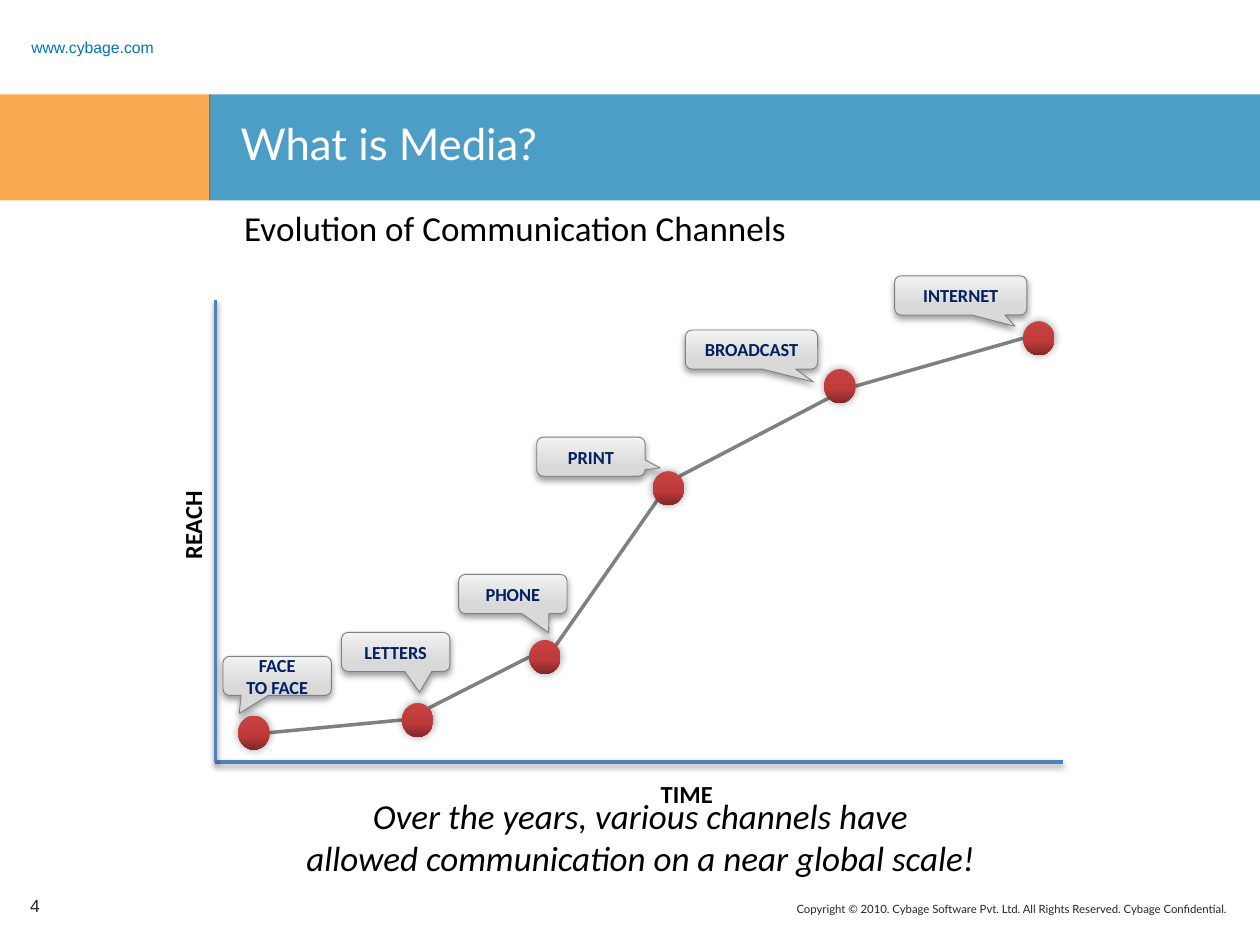
from collections import namedtuple
from dataclasses import dataclass

from lxml import etree
from pptx import Presentation
from pptx.dml.color import RGBColor
from pptx.enum.shapes import MSO_CONNECTOR, MSO_SHAPE
from pptx.enum.text import MSO_ANCHOR, PP_ALIGN
from pptx.oxml.ns import qn
from pptx.util import Inches, Pt

LEFT, CENTER, RIGHT = PP_ALIGN.LEFT, PP_ALIGN.CENTER, PP_ALIGN.RIGHT
TOP, MIDDLE = MSO_ANCHOR.TOP, MSO_ANCHOR.MIDDLE
RECT, OVAL = MSO_SHAPE.RECTANGLE, MSO_SHAPE.OVAL
CALLOUT = MSO_SHAPE.ROUNDED_RECTANGULAR_CALLOUT
STRAIGHT = MSO_CONNECTOR.STRAIGHT


@dataclass(frozen=True)
class Theme:
    orange: str = "F88608"
    blue: str = "0075B0"
    axis: str = "4F81BD"
    grey: str = "808080"
    navy: str = "002060"
    dark: str = "262626"
    black: str = "000000"
    white: str = "FFFFFF"
    red_fill: tuple = ((0, "C64242"), (59, "C03A3A"), (100, "812727"))
    grey_fill: tuple = ((0, "D9D9D9"), (24, "D9D9D9"), (100, "F2F2F2"))
    # opacity, blur, distance, direction
    axis_shadow: tuple = (38, 3.1, 1.6, 90)
    marker_shadow: tuple = (40, 5, 0, 0)
    callout_shadow: tuple = (40, 4, 2, 90)
    title: float = 25
    body: float = 20
    axis_label: float = 14
    callout: float = 10.5
    number: float = 10
    link: float = 9
    legal: float = 6.5


T = Theme()


class Box(namedtuple("Box", "x y w h")):
    """A rectangle in inches; areas within it are given in percent."""

    def point(self, px, py):
        return self.x + self.w * px / 100, self.y + self.h * py / 100

    def area(self, px, py, pw, ph):
        return Box(*self.point(px, py), self.w * pw / 100, self.h * ph / 100)

    def emu(self):
        return [Inches(v) for v in self]


# Channel: marker centre, callout corner and width, callout tip
Channel = namedtuple("Channel", "label cx cy left top width tip")
CHANNELS = [
    Channel("FACE\nTO FACE", 4.53, 93.6, 0.89, 77.11, 12.78, (-0.35, 0.96)),
    Channel("LETTERS", 23.85, 90.87, 14.86, 71.93, 12.78, (0.22, 1.03)),
    Channel("PHONE", 38.86, 77.25, 28.68, 59.4, 12.78, (0.33, 0.99)),
    Channel("PRINT", 53.42, 40.74, 37.89, 29.7, 12.78, (0.64, 0.29)),
    Channel("BROADCAST", 73.63, 18.66, 55.42, 6.54, 15.6, (0.47, 0.83)),
    Channel("INTERNET", 97.1, 8.31, 80.09, -5.18, 15.6, (0.41, 0.79)),
]
# Where each segment leaves one marker and meets the next, in percent of the marker
E, W, NE, SW = (100, 50), (0, 50), (85.36, 14.64), (14.64, 85.36)
SEGMENTS = [(E, W), (NE, W), (NE, SW), (NE, SW), (E, W)]


def rgb(color):
    return RGBColor.from_string(color)


def add_color(parent, color, opacity=100):
    clr = etree.SubElement(parent, qn("a:srgbClr"), val=color)
    if opacity < 100:
        etree.SubElement(clr, qn("a:alpha"), val=str(opacity * 1000))


def add_gradient(sp, stops, angle):
    grad = etree.SubElement(sp._element.spPr, qn("a:gradFill"), rotWithShape="1")
    gs_list = etree.SubElement(grad, qn("a:gsLst"))
    for pos, color in stops:
        add_color(etree.SubElement(gs_list, qn("a:gs"), pos=str(pos * 1000)), color)
    etree.SubElement(grad, qn("a:lin"), ang=str(angle * 60000), scaled="0")


def add_effects(sp, shadow=None):
    effects = etree.SubElement(sp._element.spPr, qn("a:effectLst"))
    if shadow:
        opacity, blur, dist, angle = shadow
        outer = etree.SubElement(
            effects, qn("a:outerShdw"), blurRad=str(int(Pt(blur))), dist=str(int(Pt(dist))),
            dir=str(angle * 60000), rotWithShape="0")
        add_color(outer, T.black, opacity)


def write(sp, text, size, color, font="Calibri", align=LEFT, anchor=TOP,
          bold=False, italic=False, spacing=None):
    tf = sp.text_frame
    tf.word_wrap = True
    tf.vertical_anchor = anchor
    tf.text = text
    for p in tf.paragraphs:
        p.alignment = align
        p.line_spacing = spacing
        for r in p.runs:
            r.font.name, r.font.size = font, Pt(size)
            r.font.bold, r.font.italic = bold, italic
            r.font.color.rgb = rgb(color)


def add_text(s, box, text, size, color, **style):
    sp = s.shapes.add_textbox(*box.emu())
    write(sp, text, size, color, **style)
    return sp


def add_line(s, start, end, color, shadow=None):
    line = s.shapes.add_connector(STRAIGHT, *[Inches(v) for v in (*start, *end)])
    line.line.color.rgb = rgb(color)
    line.line.width = Pt(2)
    add_effects(line, shadow)


def add_header(s, box):
    # Web address above a two-colour band
    add_text(s, box.area(1.5, 15.09, 15, 11.95), "www.cybage.com", T.link, T.blue,
             font="Arial", anchor=MIDDLE, spacing=1.5)
    for left, width, color in ((0, 16.7, T.orange), (16.6, 83.4, T.blue)):
        sp = s.shapes.add_shape(RECT, *box.area(left, 47.17, width, 52.83).emu())
        sp.shadow.inherit = False
        sp.fill.solid()
        sp.fill.fore_color.rgb = rgb(color)
        etree.SubElement(sp._element.spPr.find(".//" + qn("a:srgbClr")),
                         qn("a:alpha"), val="70000")
        sp.line.fill.background()
    # Title, brought in front of the band
    title = s.shapes.title
    title.left, title.top, title.width, title.height = box.area(18.1, 55.35, 79.4, 39).emu()
    write(title, "What is Media?", T.title, T.white, font="Lato")
    s.shapes._spTree.append(title._element)


def add_marker(s, box):
    sp = s.shapes.add_shape(OVAL, *box.emu())
    add_gradient(sp, T.red_fill, 90)
    sp.line.fill.background()
    add_effects(sp, T.marker_shadow)


def add_callout(s, box, label, tip):
    sp = s.shapes.add_shape(CALLOUT, *box.emu())
    sp.adjustments[0], sp.adjustments[1] = tip
    add_gradient(sp, T.grey_fill, 270)
    sp.line.color.rgb = rgb(T.grey)
    sp.line.width = Pt(0.5)
    add_effects(sp, T.callout_shadow)
    write(sp, label, T.callout, T.navy, align=CENTER, anchor=MIDDLE, bold=True)


def add_reach_chart(s, box):
    # Axes and their labels
    origin = box.point(0, 100)
    for end in (box.point(100, 100), box.point(0, 0)):
        add_line(s, origin, end, T.axis, T.axis_shadow)
    label = dict(align=CENTER, bold=True)
    reach = add_text(s, box.area(-23.18, 44.14, 41.01, 9.26), "REACH",
                     T.axis_label, T.black, **label)
    reach.rotation = 270
    add_text(s, box.area(13.82, 102.18, 83.51, 9.26), "TIME", T.axis_label, T.black, **label)
    # Curve, markers and callouts
    mw, mh = 3.71, 7.36
    markers = [box.area(c.cx - mw / 2, c.cy - mh / 2, mw, mh) for c in CHANNELS]
    for a, b, (leave, meet) in zip(markers, markers[1:], SEGMENTS):
        add_line(s, a.point(*leave), b.point(*meet), T.grey)
    for marker in markers:
        add_marker(s, marker)
    for c in CHANNELS:
        add_callout(s, box.area(c.left, c.top, c.width, 8.45), c.label, c.tip)


def add_footer(s, box):
    add_text(s, box.area(1.4, 0, 5.4, 100), "4", T.number, T.dark,
             font="Arial", anchor=MIDDLE)
    add_text(s, box.area(40.8, 30, 57.6, 65),
             "Copyright © 2010. Cybage Software Pvt. Ltd. All Rights Reserved. "
             "Cybage Confidential.", T.legal, T.dark, font="Lato", align=RIGHT)


def main():
    prs = Presentation()
    prs.slide_width, prs.slide_height = Inches(10), Inches(7.5)
    s = prs.slides.add_slide(prs.slide_layouts[5])
    page = Box(0, 0, 10, 7.5)
    add_header(s, page.area(0, 0, 100, 21.2))
    add_text(s, page.area(18.4, 21.2, 52.3, 5.87),
             "Evolution of Communication Channels", T.body, T.black)
    add_reach_chart(s, page.area(17.1, 31.73, 67.3, 48.93))
    add_text(s, page.area(7.1, 83.47, 87.5, 10.27),
             "Over the years, various channels have\n"
             "allowed communication on a near global scale!",
             T.body, T.black, align=CENTER, italic=True)
    add_footer(s, page.area(0, 93.2, 100, 5.33))
    prs.save("out.pptx")


if __name__ == "__main__":
    main()
